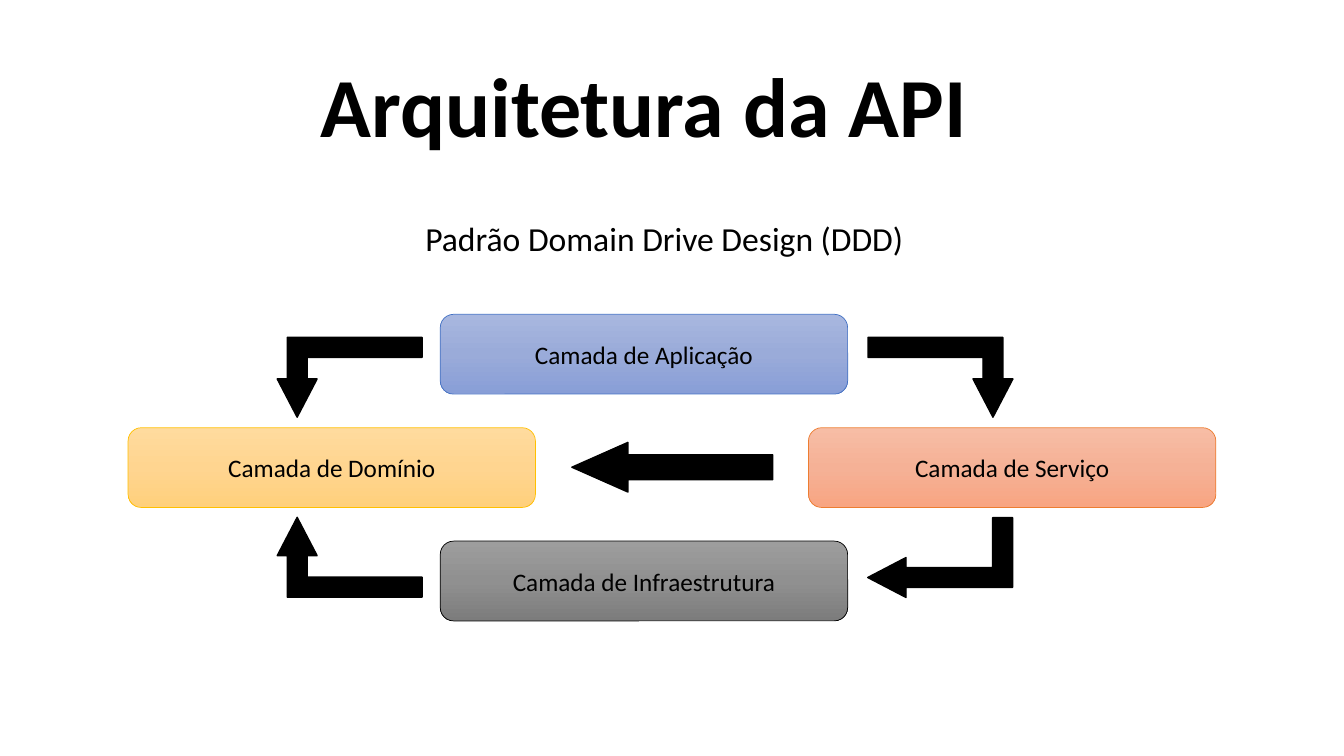
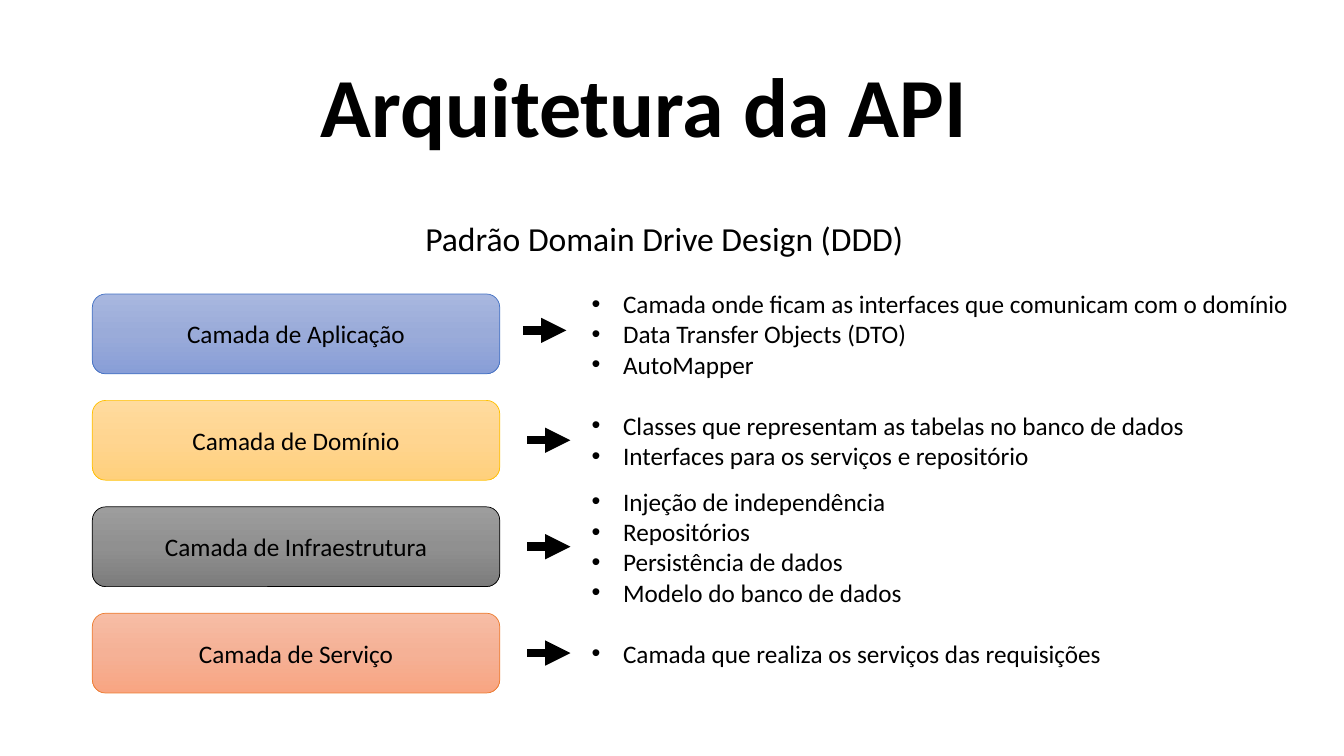
from copy import deepcopy

from lxml import etree
from pptx import Presentation
from pptx.dml.color import RGBColor
from pptx.enum import shapes, text
from pptx.oxml import ns
from pptx.util import Pt

FONT = "Calibri"
BLACK = RGBColor(0x00, 0x00, 0x00)
BLUE = RGBColor(0x44, 0x72, 0xC4)
BLUE_GRADIENT = (RGBColor(0xA8, 0xB7, 0xDF), RGBColor(0x9A, 0xAB, 0xD9), RGBColor(0x88, 0x9E, 0xD7))
YELLOW = RGBColor(0xFF, 0xC0, 0x00)
YELLOW_GRADIENT = (RGBColor(0xFF, 0xDB, 0x9E), RGBColor(0xFF, 0xD5, 0x90), RGBColor(0xFF, 0xD0, 0x7C))
GRAY_GRADIENT = (RGBColor(0x9D, 0x9D, 0x9D), RGBColor(0x90, 0x90, 0x90), RGBColor(0x7C, 0x7C, 0x7C))
ORANGE = RGBColor(0xED, 0x7D, 0x31)
ORANGE_GRADIENT = (RGBColor(0xF7, 0xBD, 0xA5), RGBColor(0xF5, 0xB1, 0x96), RGBColor(0xF8, 0xA5, 0x82))

TITLE = "Arquitetura da API"
SUBTITLE = "Padrão Domain Drive Design (DDD)"
APPLICATION = ("Camada de Aplicação", BLUE_GRADIENT, BLUE)
DOMAIN = ("Camada de Domínio", YELLOW_GRADIENT, YELLOW)
INFRASTRUCTURE = ("Camada de Infraestrutura", GRAY_GRADIENT, BLACK)
SERVICE = ("Camada de Serviço", ORANGE_GRADIENT, ORANGE)

LAYER_WIDTH, LAYER_HEIGHT = 291, 57
BENT_WIDTH, BENT_HEIGHT = 103.5, 57
ROW_PITCH = 76
LINE_HEIGHT, INSET = 21.6, 3.6

LAYER_ROWS = (
    (APPLICATION, (-3, -2.5), (
        "Camada onde ficam as interfaces que comunicam com o domínio",
        "Data Transfer Objects (DTO)",
        "AutoMapper")),
    (DOMAIN, (0, 0), (
        "Classes que representam as tabelas no banco de dados",
        "Interfaces para os serviços e repositório")),
    (INFRASTRUCTURE, (0, 0), (
        "Injeção de independência",
        "Repositórios",
        "Persistência de dados",
        "Modelo do banco de dados")),
    (SERVICE, (0, 0), ("Camada que realiza os serviços das requisições",)),
)


def points(*lengths):
    return [Pt(length) for length in lengths]


def add_child(parent, tag, **attributes):
    return etree.SubElement(parent, ns.qn(tag), attributes)


def format_paragraph(paragraph, size, bold=False, alignment=None):
    paragraph.alignment = alignment
    font = paragraph.font
    font.name, font.size, font.bold = FONT, Pt(size), bold
    font.color.rgb = BLACK


def fill_placeholder(placeholder, wording, box, size, anchor, bold=False, space_before=0):
    placeholder.left, placeholder.top, placeholder.width, placeholder.height = points(*box)
    frame = placeholder.text_frame
    frame.text = wording
    frame.auto_size = text.MSO_AUTO_SIZE.NONE
    frame.vertical_anchor = anchor
    paragraph = frame.paragraphs[0]
    paragraph.line_spacing = 0.9
    paragraph.space_before = Pt(space_before)
    format_paragraph(paragraph, size, bold, text.PP_ALIGN.CENTER)


def add_architecture_slide(presentation):
    slide = presentation.slides.add_slide(presentation.slide_layouts[0])
    fill_placeholder(slide.shapes.title, TITLE, (100, 30, 720, 85), 60,
                     text.MSO_ANCHOR.BOTTOM, bold=True)
    fill_placeholder(slide.placeholders[1], SUBTITLE, (114.5, 155.5, 720, 40), 24,
                     text.MSO_ANCHOR.TOP, space_before=10)
    return slide


def add_layer(slide, layer, left, top):
    name, gradient, outline = layer
    shape = slide.shapes.add_shape(shapes.MSO_SHAPE.ROUNDED_RECTANGLE,
                                   *points(left, top, LAYER_WIDTH, LAYER_HEIGHT))
    shape.shadow.inherit = False
    shape.fill.gradient()
    shape.fill.gradient_angle = 270
    stop_list = shape._element.spPr.find(".//" + ns.qn("a:gsLst"))
    stop_list.insert(1, deepcopy(stop_list[0]))
    for stop, position, color in zip(shape.fill.gradient_stops, (0, 0.5, 1), gradient):
        stop.position = position
        stop.color.rgb = color
    shape.line.color.rgb = outline
    shape.line.width = Pt(0.5)
    frame = shape.text_frame
    frame.text = name
    frame.vertical_anchor = text.MSO_ANCHOR.MIDDLE
    format_paragraph(frame.paragraphs[0], 18, alignment=text.PP_ALIGN.CENTER)


def add_block_arrow(slide, preset, box, adjustments, rotation=0, flip=None):
    arrow = slide.shapes.add_shape(preset, *points(*box))
    arrow.shadow.inherit = False
    for index, value in enumerate(adjustments):
        arrow.adjustments[index] = value
    arrow.rotation = rotation
    if flip:
        arrow._element.spPr.find(ns.qn("a:xfrm")).set(flip, "1")
    arrow.fill.solid()
    arrow.fill.fore_color.rgb = BLACK
    arrow.line.color.rgb = BLACK
    arrow.line.width = Pt(1)


def add_layer_flow(slide, left, top):
    for layer, x, y in ((APPLICATION, 223, 0), (INFRASTRUCTURE, 223, 162),
                        (SERVICE, 486, 81), (DOMAIN, 0, 81)):
        add_layer(slide, layer, left + x, top + y)
    wide, tall = (BENT_WIDTH, BENT_HEIGHT), (BENT_HEIGHT, BENT_WIDTH)
    for x, y, size, rotation, flip in ((106.5, 16.5, wide, 180, None),
                                       (528.5, 16.5, wide, 180, "flipH"),
                                       (551.5, 122, tall, 270, "flipH"),
                                       (106.5, 145, wide, 180, "flipV")):
        add_block_arrow(slide, shapes.MSO_SHAPE.BENT_UP_ARROW, (left + x, top + y, *size),
                        (0.25, 0.25, 0.48), rotation, flip)
    add_block_arrow(slide, shapes.MSO_SHAPE.LEFT_ARROW,
                    (left + 317, top + 91.5, 143.5, 35.5), (0.5, 1.13))


def add_line_arrow(slide, left, middle, length):
    connector = slide.shapes.add_connector(
        shapes.MSO_CONNECTOR.STRAIGHT, *points(left, middle, left + length, middle))
    connector.line.color.rgb = BLACK
    connector.line.width = Pt(6)
    properties = connector._element.spPr
    add_child(properties.find(ns.qn("a:ln")), "a:tailEnd", type="triangle")
    add_child(properties, "a:effectLst")


def add_bullets(slide, items, left, middle, width):
    height = len(items) * LINE_HEIGHT + 2 * INSET
    textbox = slide.shapes.add_textbox(*points(left, middle - height / 2, width, height))
    frame = textbox.text_frame
    frame.word_wrap = True
    frame.text = "\n".join(items)
    for paragraph in frame.paragraphs:
        properties = paragraph._p.get_or_add_pPr()
        properties.set("marL", str(Pt(22.5)))
        properties.set("indent", str(-Pt(22.5)))
        add_child(properties, "a:buFont", typeface="Arial")
        add_child(properties, "a:buChar", char="•")
        format_paragraph(paragraph, 18)


def add_layer_rows(slide, left, top):
    for index, (layer, (shift_x, shift_y), items) in enumerate(LAYER_ROWS):
        row_top = top + index * ROW_PITCH
        middle = row_top + LAYER_HEIGHT / 2
        add_layer(slide, layer, left, row_top)
        add_line_arrow(slide, left + 310.5 + shift_x, middle + shift_y, 31)
        add_bullets(slide, items, left + 349.5, middle, 520)


def main():
    presentation = Presentation()
    presentation.slide_width, presentation.slide_height = points(960, 540)
    add_layer_flow(add_architecture_slide(presentation), 91.5, 224.5)
    add_layer_rows(add_architecture_slide(presentation), 66, 210)
    presentation.save("out.pptx")


if __name__ == "__main__":
    main()
